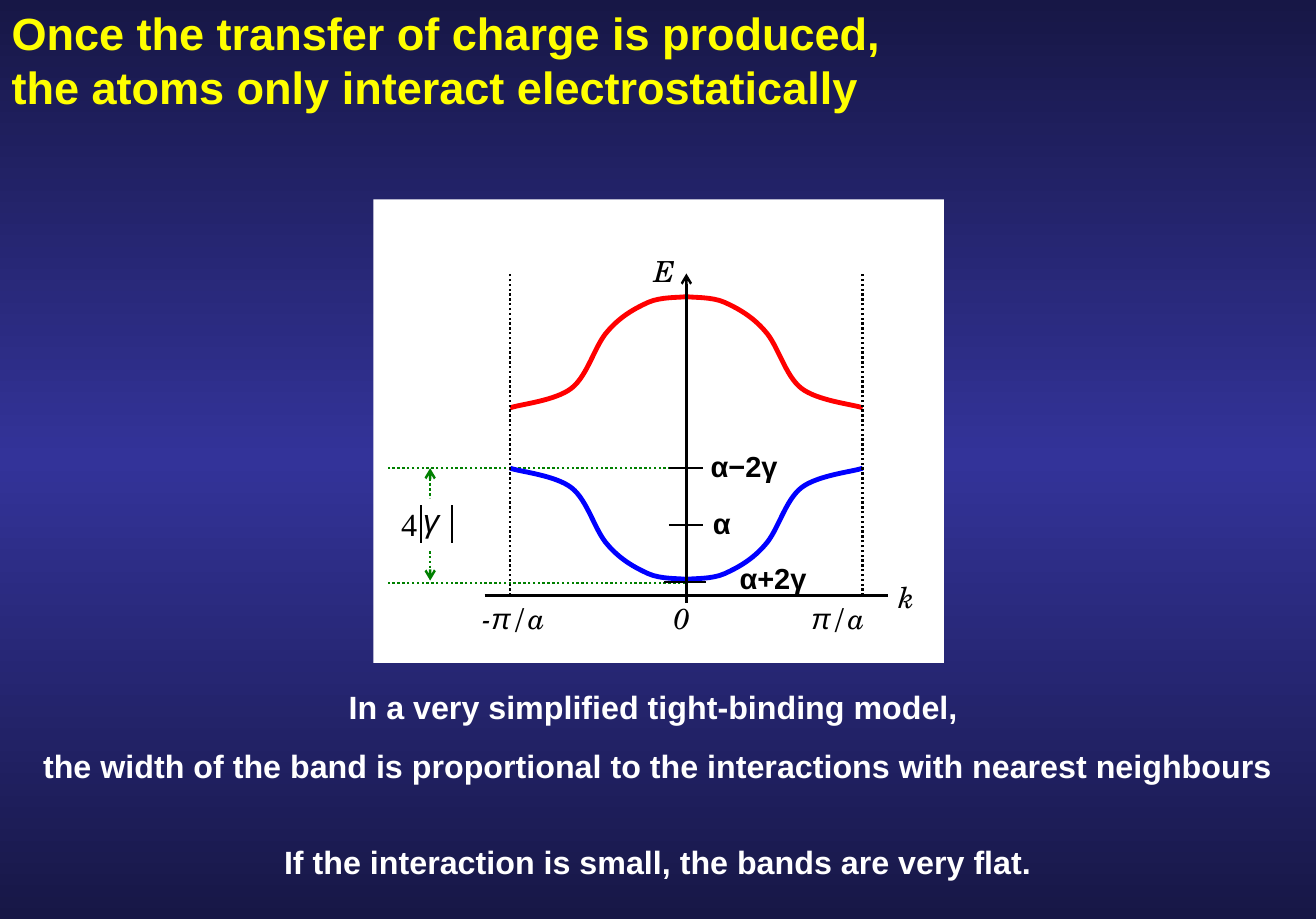
from copy import deepcopy
from itertools import groupby

from lxml.etree import SubElement
from pptx import Presentation
from pptx.dml.color import RGBColor
from pptx.enum.dml import MSO_LINE
from pptx.enum.shapes import MSO_CONNECTOR, MSO_SHAPE
from pptx.enum.text import MSO_ANCHOR, MSO_AUTO_SIZE, PP_ALIGN
from pptx.oxml.ns import qn
from pptx.util import Pt

PX = 9144  # EMU in one px, 100 px to the inch
WIDTH, HEIGHT = 1135, 793
AXIS_X, AXIS_Y, HALF_ZONE = 592, 514, 152
BAND_TOP, BAND_BOTTOM, MIRROR_Y = 404, 503, 756
BLACK, WHITE, YELLOW = "000000", "FFFFFF", "FFFF00"
GREEN, BLUE, RED = "008000", "0000FF", "FF0000"
SANS, SCHOOL, ROMAN = "Arial", "TeX Gyre Schola", "Times New Roman"
LEFT, CENTER = PP_ALIGN.LEFT, PP_ALIGN.CENTER
color = RGBColor.from_string

presentation = Presentation()
presentation.slide_width, presentation.slide_height = WIDTH * PX, HEIGHT * PX
slide = presentation.slides.add_slide(presentation.slide_layouts[5])

background = slide.background.fill
background.gradient()
background.gradient_angle = 270
stop_list = next(slide.element.iter(qn("a:gsLst")))
stop_list.insert(1, deepcopy(stop_list[0]))
gradient = [(0, "171746"), (0.5, "333399"), (1, "171746")]
for stop, (position, shade) in zip(background.gradient_stops, gradient):
    stop.position = position
    stop.color.rgb = color(shade)


def add_white_panel(shapes, *box):
    panel = shapes.add_shape(MSO_SHAPE.RECTANGLE, *(n * PX for n in box))
    panel.shadow.inherit = False
    panel.fill.solid()
    panel.fill.fore_color.rgb = color(WHITE)
    panel.line.fill.background()


def add_line(ends, shade=BLACK, width=1.5, dotted=False, arrows=()):
    """Draw a line in the diagram; arrows names its headEnd and tailEnd."""
    connector = diagram.add_connector(MSO_CONNECTOR.STRAIGHT, *(n * PX for n in ends))
    SubElement(connector.element.spPr, qn("a:effectLst"))
    line = connector.line
    line.color.rgb = color(shade)
    line.width = Pt(width)
    if dotted:
        line.dash_style = MSO_LINE.ROUND_DOT
    for end in arrows:
        SubElement(line._get_or_add_ln(), qn(f"a:{end}"), type="arrow")


add_white_panel(slide.shapes, 322, 172, 492, 400)
diagram = slide.shapes.add_group_shape().shapes

# Band width marker
add_line((371, BAND_TOP, 371, 501), GREEN, dotted=True, arrows=("headEnd", "tailEnd"))
add_white_panel(diagram, 334, 430, 73, 45)
for y in (BAND_BOTTOM, BAND_TOP):
    add_line((591, y, 334, y), GREEN, dotted=True)
for x in (363, 390):
    add_line((x, 436, x, 469), width=0.88)

# Bands: Bezier points of the left half of the lower one, as (x, y)
half_band = [(440, 404), (448, 407), (479, 410), (493, 421), (507, 432),
             (513, 458), (524, 470), (535, 483), (548, 490), (559, 495),
             (570, 500), (586, 499), (592, 500)]
for shade in (BLUE, RED):
    for mirrored in (False, True):
        points = [((2 * AXIS_X - x if mirrored else x) * PX,
                   (MIRROR_Y - y if shade == RED else y) * PX) for x, y in half_band]
        builder = diagram.build_freeform(*points[0])
        builder.add_line_segments(points[1:], close=False)
        band = builder.convert_to_shape()
        outline = next(band.element.iter(qn("a:path")))
        segments = outline.findall(qn("a:lnTo"))
        for first in range(0, len(segments), 3):
            curve = SubElement(outline, qn("a:cubicBezTo"))
            for segment in segments[first:first + 3]:
                curve.append(segment[0])
                outline.remove(segment)
        band.shadow.inherit = False
        band.fill.background()
        band.line.color.rgb = color(shade)
        band.line.width = Pt(3)

# Axes, zone edges and energy ticks
add_line((418, AXIS_Y, AXIS_X, AXIS_Y))
add_line((AXIS_X, 520, AXIS_X, 236), arrows=("tailEnd",))
add_line((AXIS_X, AXIS_Y, 766, AXIS_Y))
for x in (AXIS_X - HALF_ZONE, AXIS_X + HALF_ZONE):
    add_line((x, AXIS_Y, x, 236), dotted=True)
for left, right, y in [(577, 606, BAND_TOP), (577, 606, 453), (573, 609, 502)]:
    add_line((left, y, right, y))

title_format = dict(size=Pt(28), bold=True, name=SANS)
note_format = dict(size=Pt(20), bold=True, name=SANS)
level_format = dict(size=Pt(18), bold=True, name=SANS)
axis_format = dict(size=Pt(18), italic=True, name=SCHOOL)
gamma_format = dict(size=Pt(20), italic=True, name=SANS)
number_format = dict(size=Pt(20), name=ROMAN)
AXIS_TABS = (70, 215, 350)  # centres of the k labels, from the text edge

# Parent, box, text, alignment, inset, colour, format
texts = [
    (None, (0, 0, 818, 104),
     "Once the transfer of charge is produced, the atoms only interact electrostatically",
     LEFT, 10, YELLOW, title_format),
    (diagram, (365, 432, 16, 33), "γ", LEFT, 0, BLACK, gamma_format),
    (diagram, (346, 435, 14, 33), "4", LEFT, 0, BLACK, number_format),
    (diagram, (363, 513, 435, 40), "\t-π/a\t0\tπ/a", LEFT, 10, BLACK, axis_format),
    (diagram, (603, 382, 102, 40), "α−2γ", LEFT, 10, BLACK, level_format),
    (diagram, (605, 431, 38, 40), "α", LEFT, 10, BLACK, level_format),
    (diagram, (628, 479, 109, 40), "α+2γ", LEFT, 10, BLACK, level_format),
    (diagram, (765, 495, 46, 40), "k", LEFT, 10, BLACK, axis_format),
    (diagram, (554, 214, 38, 40), "E", LEFT, 10, BLACK, axis_format),
    (slide.shapes, (0, 588, WIDTH, 94),
     "In a very simplified tight-binding model, \n"
     "the width of the band is proportional to the interactions with nearest neighbours",
     CENTER, 10, WHITE, note_format),
    (slide.shapes, (0, 722, WIDTH, 44),
     "If the interaction is small, the bands are very flat.",
     CENTER, 10, WHITE, note_format),
]
for parent, box, text, alignment, inset, shade, font_format in texts:
    left, top, width, height = (n * PX for n in box)
    shape = parent.add_textbox(left, top, width, height) if parent else slide.shapes.title
    shape.left, shape.top, shape.width, shape.height = left, top, width, height
    frame = shape.text_frame
    frame.word_wrap = True
    frame.auto_size = MSO_AUTO_SIZE.NONE
    frame.vertical_anchor = MSO_ANCHOR.TOP
    frame.margin_left = frame.margin_right = inset * PX
    frame.margin_top = frame.margin_bottom = inset // 2 * PX
    for index, line_text in enumerate(text.split("\n")):
        paragraph = frame.add_paragraph() if index else frame.paragraphs[0]
        paragraph.alignment = alignment
        paragraph.space_before = Pt(12.5 if index else 0)
        if "\t" in line_text:
            tab_list = SubElement(paragraph._p.get_or_add_pPr(), qn("a:tabLst"))
            for tab in AXIS_TABS:
                SubElement(tab_list, qn("a:tab"), pos=str(tab * PX), algn="ctr")
        for is_pi, letters in groupby(line_text, lambda letter: letter == "π"):
            run = paragraph.add_run()
            run.text = "".join(letters)
            for attribute, value in font_format.items():
                setattr(run.font, attribute, value)
            run.font.color.rgb = color(shade)
            if is_pi:
                run.font.name = SANS

presentation.save("out.pptx")
